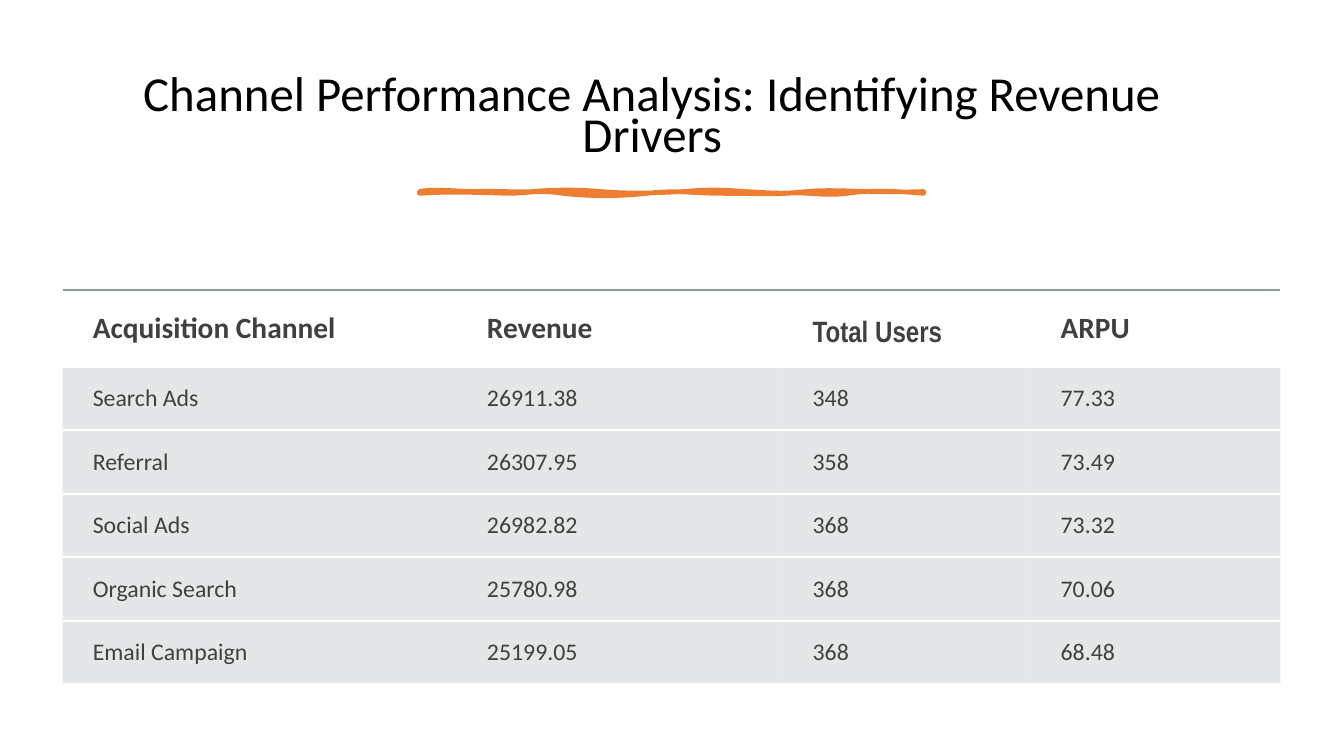
from lxml.etree import SubElement
from pptx import Presentation
from pptx.dml.color import RGBColor
from pptx.enum.text import MSO_ANCHOR, PP_ALIGN
from pptx.oxml import parse_xml
from pptx.oxml.ns import nsdecls, qn
from pptx.util import Inches, Pt

THEME = {
    "accent": RGBColor.from_string("ED7D31"),
    "row": RGBColor.from_string("B4BCBE"),
    "rule": "8F9A9D",
    "white": "FFFFFF",
    "title": {"size": Pt(34.9), "name": "Calibri", "bold": False, "color": "000000"},
    "head": {"size": Pt(21), "name": "Calibri", "bold": True, "color": "404040"},
    "head_narrow": {"size": Pt(21), "name": "Arial Narrow", "bold": True, "color": "404040"},
    "body": {"size": Pt(17), "name": "Calibri", "bold": False, "color": "404040"},
}


def write(p, text, style):
    r = p.add_run()
    r.text = text
    for name, value in THEME[style].items():
        if name == "color":
            r.font.color.rgb = RGBColor.from_string(value)
        else:
            setattr(r.font, name, value)


def set_borders(cell, top, top_alpha):
    lines = {"L": None, "R": None, "T": (top, top_alpha), "B": (THEME["white"], 100)}
    for i, (side, line) in enumerate(lines.items()):
        fill = "<a:noFill/>"
        if line:
            fill = (f'<a:solidFill><a:srgbClr val="{line[0]}">'
                    f'<a:alpha val="{line[1] * 1000}"/></a:srgbClr></a:solidFill>')
        ln = parse_xml(f'<a:ln{side} {nsdecls("a")} w="{Pt(1.5)}">{fill}</a:ln{side}>')
        cell._tc.get_or_add_tcPr().insert(i, ln)


prs = Presentation()
prs.slide_width, prs.slide_height = Inches(13.33), Inches(7.5)
s = prs.slides.add_slide(prs.slide_layouts[6])

tf = s.shapes.add_textbox(Inches(0.7), Inches(0.7), Inches(11.54), Inches(0.98)).text_frame
tf.word_wrap = True
tf.vertical_anchor = MSO_ANCHOR.MIDDLE
p = tf.paragraphs[0]
for name, value in {"alignment": PP_ALIGN.CENTER, "line_spacing": 0.7, "space_after": Pt(6)}.items():
    setattr(p, name, value)
write(p, "Channel Performance Analysis: Identifying Revenue Drivers", "title")

BRUSH_START = (4.16, 1.9)
BRUSH_CURVES = [
    (4.28, 1.87, 4.54, 1.9, 4.73, 1.9),
    (4.92, 1.89, 5.09, 1.91, 5.29, 1.9),
    (5.49, 1.88, 5.74, 1.88, 5.96, 1.9),
    (6.17, 1.92, 6.53, 1.92, 6.77, 1.9),
    (7.02, 1.88, 7.14, 1.88, 7.39, 1.9),
    (7.63, 1.91, 7.74, 1.93, 8, 1.9),
    (8.26, 1.87, 8.67, 1.92, 9.16, 1.9),
    (9.17, 1.91, 9.16, 1.91, 9.16, 1.92),
    (8.95, 1.9, 8.65, 1.88, 8.4, 1.92),
    (8.15, 1.95, 8.01, 1.9, 7.79, 1.92),
    (7.56, 1.93, 7.47, 1.92, 7.17, 1.92),
    (6.87, 1.92, 6.67, 1.88, 6.41, 1.92),
    (6.14, 1.95, 5.85, 1.95, 5.59, 1.92),
    (5.34, 1.88, 5.23, 1.92, 5.03, 1.92),
    (4.83, 1.91, 4.38, 1.9, 4.16, 1.92),
]
STEPS = 8
points = []
x0, y0 = BRUSH_START
for x1, y1, x2, y2, x3, y3 in BRUSH_CURVES:
    for step in range(1, STEPS + 1):
        t = step / STEPS
        u = 1 - t
        weights = (u ** 3, 3 * u * u * t, 3 * u * t * t, t ** 3)
        points.append(tuple(
            Inches(sum(w * v for w, v in zip(weights, values)))
            for values in ((x0, x1, x2, x3), (y0, y1, y2, y3))
        ))
    x0, y0 = x3, y3
brush = s.shapes.build_freeform(*(Inches(v) for v in BRUSH_START))
brush.add_line_segments(points, close=True)
sp = brush.convert_to_shape()
sp.shadow.inherit = False
sp.fill.solid()
sp.fill.fore_color.rgb = THEME["accent"]
sp.line.color.rgb = THEME["accent"]
sp.line.width = Pt(3.25)

ROWS = [
    ("Acquisition Channel", "Revenue", "Total Users", "ARPU"),
    ("Search Ads", "26911.38", "348", "77.33"),
    ("Referral", "26307.95", "358", "73.49"),
    ("Social Ads", "26982.82", "368", "73.32"),
    ("Organic Search", "25780.98", "368", "70.06"),
    ("Email Campaign", "25199.05", "368", "68.48"),
]
COL_WIDTHS = (3.91, 3.23, 2.46, 2.48)
HEAD_HEIGHT, ROW_HEIGHT = 0.76, 0.63

table = s.shapes.add_table(len(ROWS), len(COL_WIDTHS), Inches(0.62), Inches(2.88),
                           Inches(12.09), Inches(3.92)).table
table.first_row = table.horz_banding = False
for col, width in zip(table.columns, COL_WIDTHS):
    col.width = Inches(width)
for i, texts in enumerate(ROWS):
    is_head = i == 0
    table.rows[i].height = Inches(HEAD_HEIGHT if is_head else ROW_HEIGHT)
    margin = Inches(0.18 if is_head else 0.15)
    for j, text in enumerate(texts):
        cell = table.cell(i, j)
        narrow = is_head and j == 2
        layout = {
            "margin_left": Inches(0.3),
            "margin_right": margin,
            "margin_top": margin,
            "margin_bottom": margin,
            "vertical_anchor": MSO_ANCHOR.BOTTOM if narrow else MSO_ANCHOR.MIDDLE,
        }
        for name, value in layout.items():
            setattr(cell, name, value)
        if is_head:
            cell.fill.background()
            set_borders(cell, THEME["rule"], 100)
        else:
            cell.fill.solid()
            cell.fill.fore_color.rgb = THEME["row"]
            clr = cell._tc.tcPr.find(qn("a:solidFill")).find(qn("a:srgbClr"))
            SubElement(clr, qn("a:alpha")).set("val", "35000")
            set_borders(cell, THEME["white"], 100)
        style = "head_narrow" if narrow else "head" if is_head else "body"
        write(cell.text_frame.paragraphs[0], text, style)

prs.save("out.pptx")
